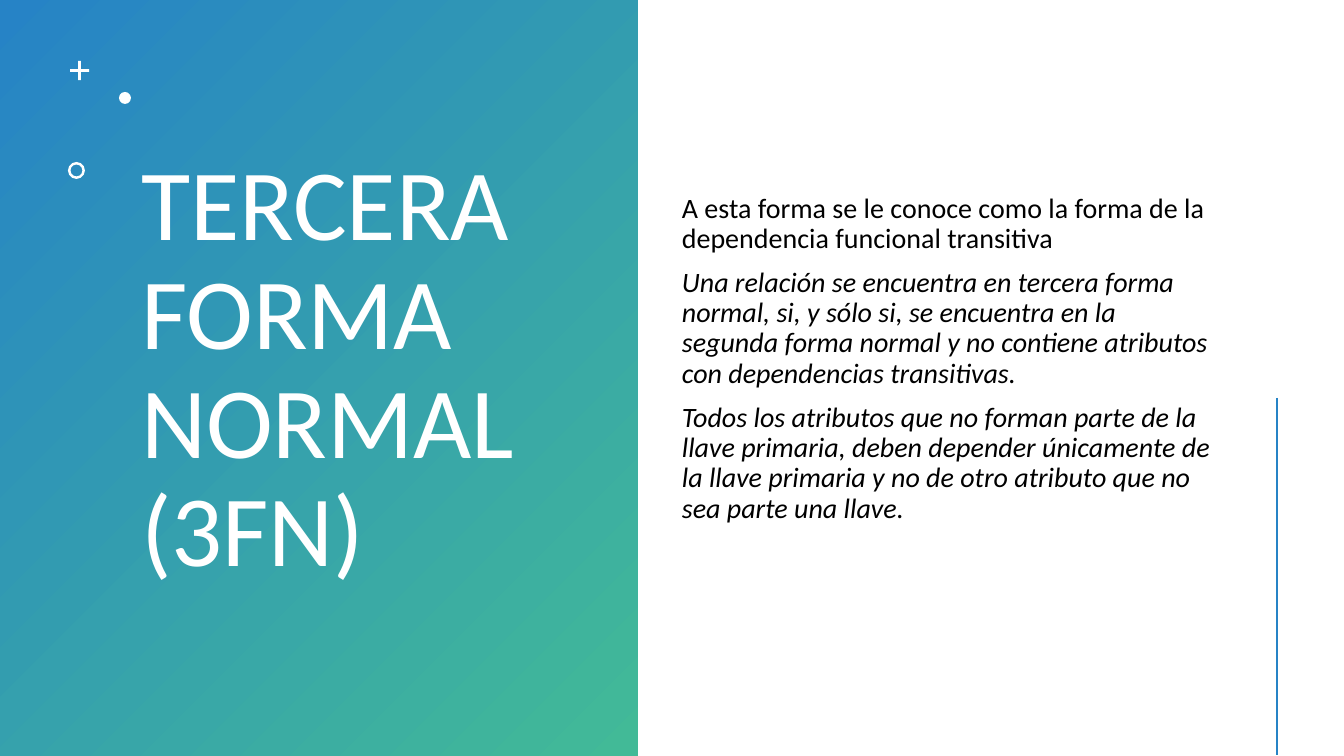
"""Build the slide that explains the third normal form."""
from lxml.etree import SubElement
from pptx import Presentation
from pptx.dml.color import RGBColor
from pptx.enum.shapes import MSO_CONNECTOR, MSO_SHAPE
from pptx.enum.text import MSO_ANCHOR, MSO_AUTO_SIZE, PP_ALIGN
from pptx.oxml.ns import qn
from pptx.util import Pt

BLUE = RGBColor(0x26, 0x83, 0xC6)
GREEN = RGBColor(0x42, 0xBA, 0x97)
WHITE = RGBColor(0xFF, 0xFF, 0xFF)
BLACK = RGBColor(0x00, 0x00, 0x00)
FONT = "Calibri"
SCALE = 914400 / 100.8
WIDTH, HEIGHT = 1344, 756

TITLE = "TERCERA FORMA NORMAL (3FN)"
BODY = [
    ("A esta forma se le conoce como la\u00a0forma de la dependencia funcional transitiva", False),
    ("Una relación se encuentra en tercera forma normal, si, y sólo si, se encuentra en la "
     "segunda forma normal y no contiene atributos con dependencias transitivas.", True),
    ("Todos los atributos que no forman parte de la llave primaria, deben depender únicamente "
     "de la llave primaria y no de otro atributo que no sea parte una llave.", True),
]
PANEL_BOX = (0, 0, 638, HEIGHT)
TITLE_BOX = (131, 42, 442, 658)
BODY_BOX = (672, 30, 549, 658)
ACCENT_LINE = (1277, 398, 1277, 755)
ORNAMENTS = [
    (MSO_SHAPE.CROSS, (70, 61, 19, 19), 0.43),
    (MSO_SHAPE.OVAL, (119, 92, 12, 12), None),
    (MSO_SHAPE.DONUT, (68, 162, 17, 17), 0.15),
]


def emu(pixels):
    return [round(value * SCALE) for value in pixels]


def add_shape(kind, box):
    shape = slide.shapes.add_shape(kind, *emu(box))
    shape.shadow.inherit = False
    shape.line.fill.background()
    return shape


def prepare_frame(frame):
    frame.word_wrap = True
    frame.auto_size = MSO_AUTO_SIZE.NONE
    frame.vertical_anchor = MSO_ANCHOR.MIDDLE


def format_paragraph(paragraph, size, color, italic=False):
    paragraph.alignment = PP_ALIGN.LEFT
    paragraph.line_spacing = 0.9
    paragraph.font.name = FONT
    paragraph.font.size = Pt(size)
    paragraph.font.color.rgb = color
    paragraph.font.italic = italic


presentation = Presentation()
presentation.slide_width, presentation.slide_height = emu((WIDTH, HEIGHT))
slide = presentation.slides.add_slide(presentation.slide_layouts.get_by_name("Title Only"))

panel = add_shape(MSO_SHAPE.RECTANGLE, PANEL_BOX)
panel.fill.gradient()
panel.fill.gradient_angle = 315
for stop, color, position in zip(panel.fill.gradient_stops, (BLUE, GREEN), (0, 1)):
    stop.color.rgb = color
    stop.position = position

title = slide.shapes.title
title.element.addprevious(panel.element)
title.left, title.top, title.width, title.height = emu(TITLE_BOX)
title.text_frame.text = TITLE
prepare_frame(title.text_frame)
format_paragraph(title.text_frame.paragraphs[0], 72, WHITE)

for kind, box, adjustment in ORNAMENTS:
    ornament = add_shape(kind, box)
    ornament.fill.solid()
    ornament.fill.fore_color.rgb = WHITE
    if adjustment is not None:
        ornament.adjustments[0] = adjustment

body = slide.shapes.add_textbox(*emu(BODY_BOX)).text_frame
prepare_frame(body)
for index, (text, italic) in enumerate(BODY):
    paragraph = body.add_paragraph() if index else body.paragraphs[0]
    paragraph.text = text
    paragraph.space_before = Pt(10 if index else 0)
    format_paragraph(paragraph, 20, BLACK, italic)

accent = slide.shapes.add_connector(MSO_CONNECTOR.STRAIGHT, *emu(ACCENT_LINE))
accent.line.color.rgb = BLUE
accent.line.width = Pt(2)
SubElement(accent.element.spPr, qn("a:effectLst"))

presentation.save("out.pptx")
